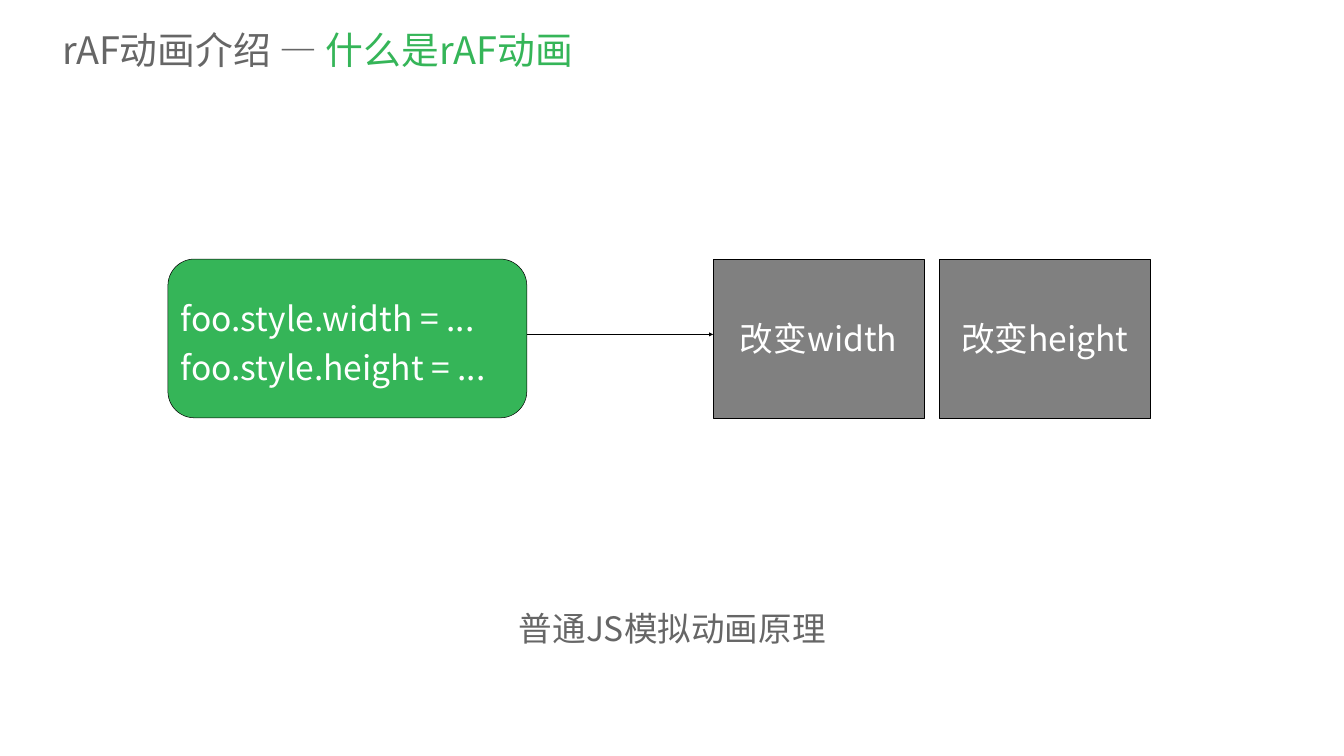
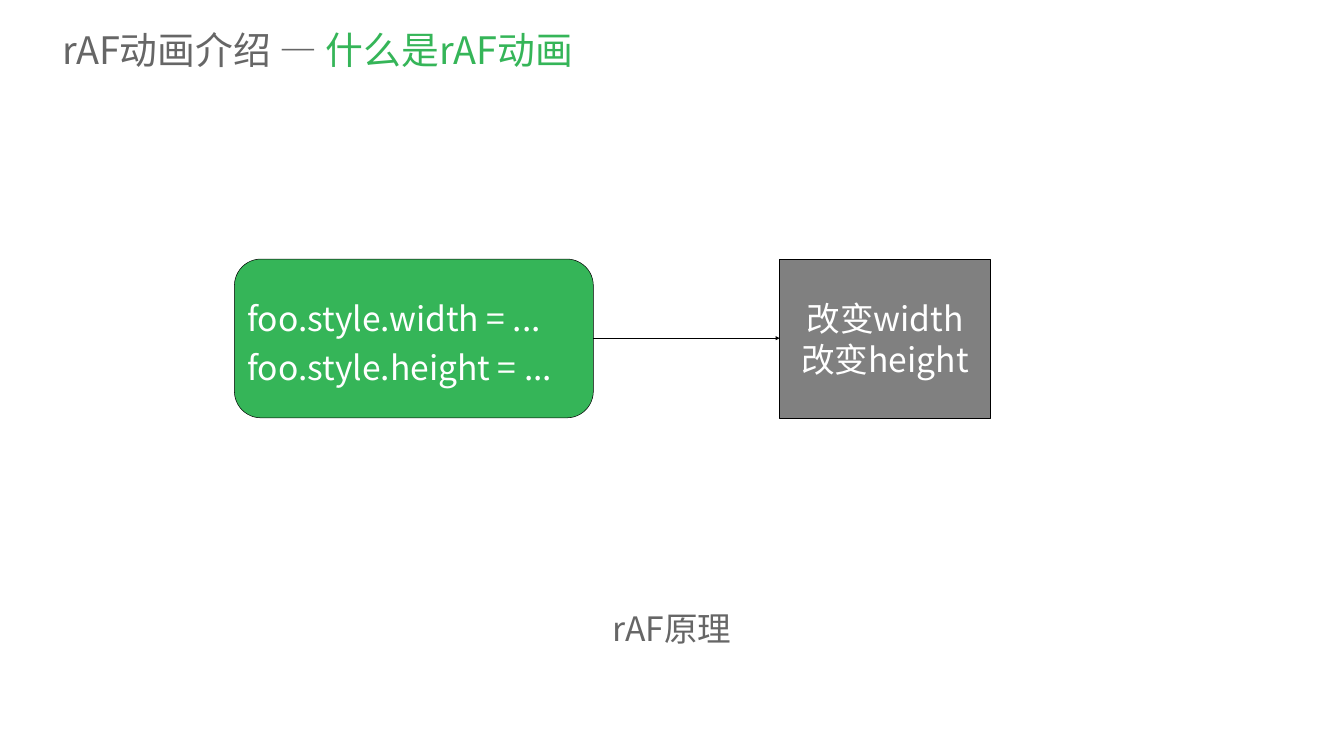
from dataclasses import dataclass

from lxml import etree
from pptx import Presentation
from pptx.dml.color import RGBColor
from pptx.enum import shapes, text
from pptx.oxml.ns import qn
from pptx.util import Pt


@dataclass(frozen=True)
class Theme:
    font: str = "Noto Sans CJK SC"
    grey: RGBColor = RGBColor(0x66, 0x66, 0x66)
    green: RGBColor = RGBColor(0x35, 0xB5, 0x58)
    effect_grey: RGBColor = RGBColor(0x80, 0x80, 0x80)
    outline: RGBColor = RGBColor(0, 0, 0)
    white: RGBColor = RGBColor(255, 255, 255)
    title_size: float = 54
    body_size: float = 48
    line_width: float = 0.75


THEME = Theme()
SLIDE_SIZE = 1919.52, 1080

# Shared geometry, in points
TITLE_BOX = 81.4, 31, 1810.8, 79.2
CAPTION_BOX = 676.8, 864.7, 566.6, 64.8
ROW_TOP, ROW_HEIGHT = 370.1, 226.8
CODE_WIDTH, EFFECT_WIDTH = 512.6, 301
ARROW_LENGTH, EFFECT_GAP = 266.2, 22.3

# Wording
TITLE_RUNS = [("rAF动画介绍 — ", THEME.grey), ("什么是rAF动画", THEME.green)]
CODE_LINES = ["foo.style.width = ...", "foo.style.height = ..."]

# Text frame formats
TITLE_FRAME = dict(word_wrap=True, auto_size=text.MSO_AUTO_SIZE.NONE,
                   vertical_anchor=text.MSO_ANCHOR.MIDDLE)
CAPTION_FRAME = dict(word_wrap=True, auto_size=text.MSO_AUTO_SIZE.SHAPE_TO_FIT_TEXT)
BOX_FRAME = dict(word_wrap=False, vertical_anchor=text.MSO_ANCHOR.MIDDLE)

# Paragraph formats
LEFT = dict(alignment=text.PP_ALIGN.LEFT)
CENTRED = dict(alignment=text.PP_ALIGN.CENTER)
CODE = dict(LEFT, line_spacing=1.2)


def apply_format(target, values):
    for name, value in values.items():
        setattr(target, name, value)


def add_run(paragraph, wording, size, colour):
    run = paragraph.add_run()
    run.text = wording
    run.font.color.rgb = colour
    apply_format(run.font, dict(size=Pt(size), name=THEME.font))
    east_asian = etree.SubElement(run.font._element, qn("a:ea"))
    east_asian.set("typeface", THEME.font)


def write_lines(frame, lines, colour, frame_format, paragraph_format):
    apply_format(frame, frame_format)
    for index, line in enumerate(lines):
        paragraph = frame.add_paragraph() if index else frame.paragraphs[0]
        apply_format(paragraph, paragraph_format)
        add_run(paragraph, line, THEME.body_size, colour)


def set_title(slide):
    title = slide.shapes.title
    edges = map(Pt, TITLE_BOX)
    apply_format(title, dict(zip(("left", "top", "width", "height"), edges)))
    apply_format(title.text_frame, TITLE_FRAME)
    heading = title.text_frame.paragraphs[0]
    apply_format(heading, LEFT)
    for wording, colour in TITLE_RUNS:
        add_run(heading, wording, THEME.title_size, colour)


def add_caption(slide, wording):
    caption = slide.shapes.add_textbox(*map(Pt, CAPTION_BOX))
    write_lines(caption.text_frame, [wording], THEME.grey, CAPTION_FRAME, CENTRED)


def add_box(slide, kind, left, width, fill, lines, paragraph_format):
    box = slide.shapes.add_shape(kind, *map(Pt, (left, ROW_TOP, width, ROW_HEIGHT)))
    box.shadow.inherit = False
    box.fill.solid()
    box.fill.fore_color.rgb = fill
    box.line.color.rgb = THEME.outline
    box.line.width = Pt(THEME.line_width)
    write_lines(box.text_frame, lines, THEME.white, BOX_FRAME, paragraph_format)


def add_arrow(slide, start, end, y):
    arrow = slide.shapes.add_connector(
        shapes.MSO_CONNECTOR.STRAIGHT, *map(Pt, (start, y, end, y)))
    arrow.line.color.rgb = THEME.outline
    arrow.line.width = Pt(THEME.line_width)
    etree.SubElement(arrow.line._get_or_add_ln(), qn("a:tailEnd"), type="triangle")
    etree.SubElement(arrow._element.spPr, qn("a:effectLst"))


def add_principle_slide(deck, caption, code_left, arrow_y, effects):
    """Code on the left, an arrow, then one box for each repaint."""
    slide = deck.slides.add_slide(deck.slide_layouts[5])
    set_title(slide)
    add_caption(slide, caption)

    code_right = code_left + CODE_WIDTH
    effects_left = code_right + ARROW_LENGTH
    add_box(slide, shapes.MSO_SHAPE.ROUNDED_RECTANGLE, code_left, CODE_WIDTH,
            THEME.green, CODE_LINES, CODE)
    for index, lines in enumerate(effects):
        left = effects_left + index * (EFFECT_WIDTH + EFFECT_GAP)
        add_box(slide, shapes.MSO_SHAPE.RECTANGLE, left, EFFECT_WIDTH,
                THEME.effect_grey, lines, CENTRED)
    add_arrow(slide, code_right, effects_left, arrow_y)


def main():
    deck = Presentation()
    deck.slide_width, deck.slide_height = map(Pt, SLIDE_SIZE)

    # Plain JS: each style change is its own step
    add_principle_slide(deck, "普通JS模拟动画原理", 239.8, 477.7,
                        [["改变width"], ["改变height"]])
    # rAF: both changes share one step
    add_principle_slide(deck, "rAF原理", 334.8, 483.1,
                        [["改变width", "改变height"]])

    deck.save("out.pptx")


if __name__ == "__main__":
    main()
